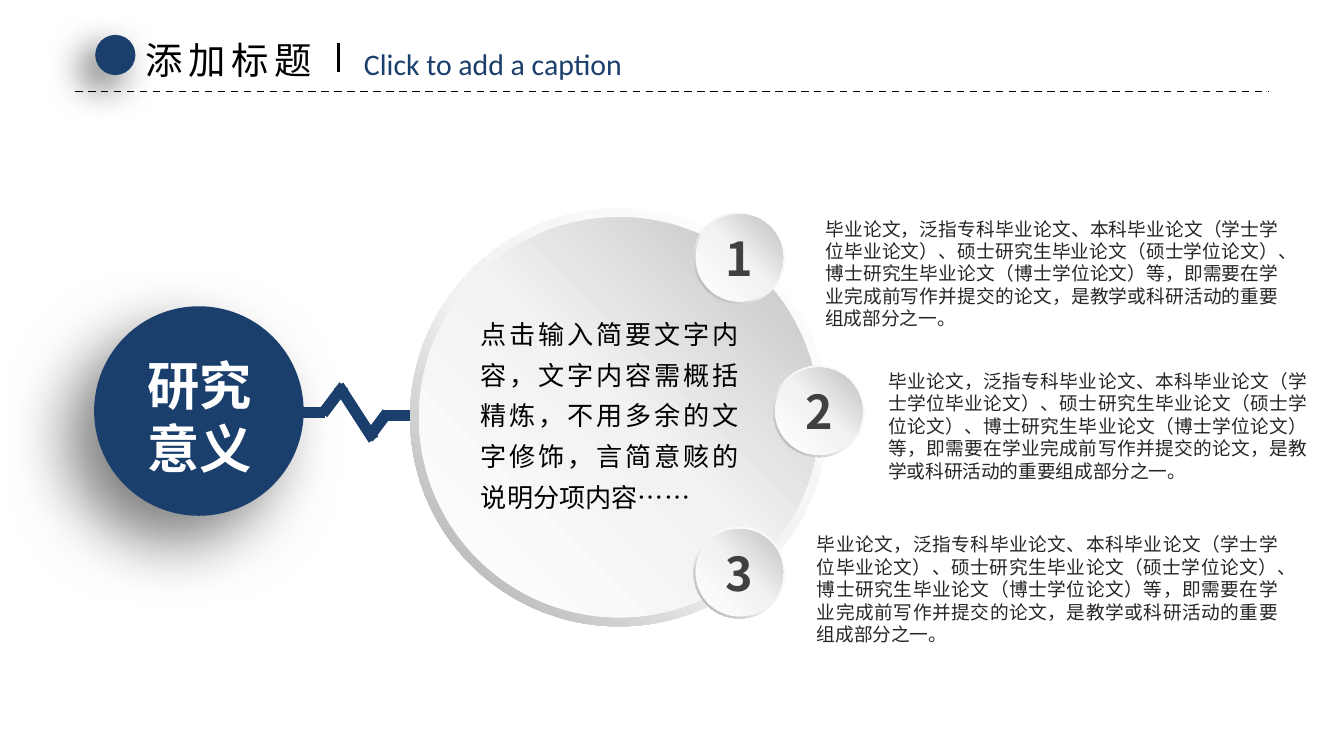
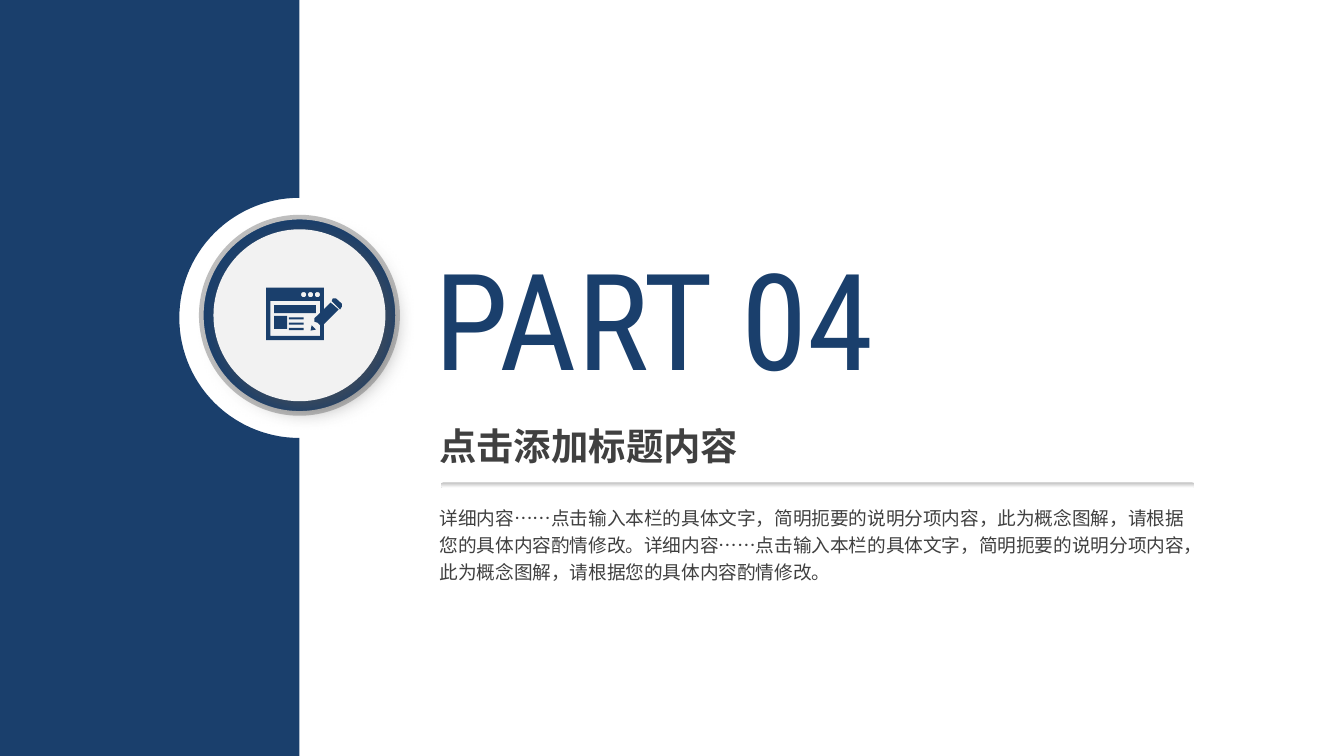
from math import cos, pi, sin

from lxml import etree
from pptx import Presentation
from pptx.dml.color import RGBColor
from pptx.enum.dml import MSO_LINE
from pptx.enum.shapes import MSO_CONNECTOR, MSO_SHAPE
from pptx.enum.text import MSO_ANCHOR, MSO_AUTO_SIZE, PP_ALIGN
from pptx.oxml.ns import qn
from pptx.util import Cm, Pt

OVAL = MSO_SHAPE.OVAL
DONUT = MSO_SHAPE.DONUT
RECT = MSO_SHAPE.RECTANGLE
ROUND_RECT = MSO_SHAPE.ROUNDED_RECTANGLE
STRAIGHT = MSO_CONNECTOR.STRAIGHT
DASH = MSO_LINE.DASH
MIDDLE = MSO_ANCHOR.MIDDLE
GROW = MSO_AUTO_SIZE.SHAPE_TO_FIT_TEXT
CENTER = PP_ALIGN.CENTER
JUSTIFY = PP_ALIGN.JUSTIFY

WIDTH, HEIGHT = 25.4, 14.29
NAVY, BLACK, WHITE = "1A3F6C", "000000", "FFFFFF"
DARK, INK, SILVER, PALE = "404040", "262626", "BFBFBF", "F2F2F2"
CJK, LATIN, HEADING, DISPLAY = (
    "Noto Sans CJK SC", "Calibri", "League Spartan", "Roboto Condensed")
RIM = [(0, WHITE), (55, PALE), (100, "A6A6A6")]
FACE = [(0, WHITE), (51, PALE), (100, SILVER)]

THESIS = ("毕业论文，泛指专科毕业论文、本科毕业论文（学士学位毕业论文）、"
          "硕士研究生毕业论文（硕士学位论文）、博士研究生毕业论文（博士学位论文）等，"
          "即需要在学业完成前写作并提交的论文，是教学或科研活动的重要组成部分之一。")
SUMMARY = ("点击输入简要文字内容，文字内容需概括精炼，不用多余的文字修饰，"
           "言简意赅的说明分项内容……")
DETAIL = ("详细内容……点击输入本栏的具体文字，简明扼要的说明分项内容，"
          "此为概念图解，请根据您的具体内容酌情修改。")


def rgb(value):
    """Turn a hex string into a colour."""
    return RGBColor.from_string(value)


def add_color(parent, value):
    """Append a colour element and return it."""
    return etree.SubElement(parent, qn("a:srgbClr"), val=value)


def paint(sp, fill):
    """Fill a shape with one colour and take off its line and shadow."""
    sp.shadow.inherit = False
    sp.fill.solid()
    sp.fill.fore_color.rgb = rgb(fill)
    sp.line.fill.background()


def shape(s, kind, x, y, w, h, fill=WHITE):
    """Add a plain preset shape."""
    sp = s.shapes.add_shape(kind, Cm(x), Cm(y), Cm(w), Cm(h))
    paint(sp, fill)
    return sp


def gradient(sp, stops, angle):
    """Give a shape a linear gradient at a clockwise angle."""
    sp.fill.gradient()
    sp.fill.gradient_angle = 360 - angle
    stop_list = sp._element.spPr.find(qn("a:gradFill")).find(qn("a:gsLst"))
    for old in list(stop_list):
        stop_list.remove(old)
    for place, value in stops:
        add_color(etree.SubElement(stop_list, qn("a:gs"), pos=str(place * 1000)), value)


def cast_shadow(sp, color, alpha, blur, dist, angle):
    """Give a shape an outer shadow."""
    effects = sp._element.spPr.find(qn("a:effectLst"))
    outer = etree.SubElement(
        effects, qn("a:outerShdw"), blurRad=str(Pt(blur)), dist=str(Pt(dist)),
        dir=str(angle * 60000), algn="ctr", rotWithShape="0")
    etree.SubElement(add_color(outer, color), qn("a:alpha"), val=str(alpha * 1000))


def line(s, x1, y1, x2, y2, color, width, dash=None):
    """Add a straight line without a shadow."""
    c = s.shapes.add_connector(STRAIGHT, Cm(x1), Cm(y1), Cm(x2), Cm(y2))
    c.line.color.rgb = rgb(color)
    c.line.width = Pt(width)
    if dash:
        c.line.dash_style = dash
    etree.SubElement(c._element.spPr, qn("a:effectLst"))


def polygon(s, contours, fill):
    """Add a filled outline; later contours cut holes in the first."""
    first, *holes = [[(Cm(x), Cm(y)) for x, y in c] for c in contours]
    fb = s.shapes.build_freeform(*first[0], scale=1.0)
    fb.add_line_segments(first[1:], close=True)
    for hole in holes:
        fb.move_to(*hole[0])
        fb.add_line_segments(hole[1:], close=True)
    paint(fb.convert_to_shape(), fill)


def arc(cx, cy, r, start, end, steps):
    """Return points along a circle between two angles in radians."""
    angles = [start + (end - start) * i / steps for i in range(steps + 1)]
    return [(cx + r * cos(a), cy + r * sin(a)) for a in angles]


def write(tf, text, size, color, font=CJK, bold=False, align=None,
          spacing=None, tracking=None):
    """Set the text of a frame and format its runs."""
    tf.text = text
    for p in tf.paragraphs:
        p.alignment = align
        p.line_spacing = spacing
        for r in p.runs:
            r.font.name = font
            r.font.size = Pt(size)
            r.font.bold = bold
            r.font.color.rgb = rgb(color)
            rpr = r.font._element
            etree.SubElement(rpr, qn("a:ea"), typeface=CJK)
            if tracking:
                rpr.set("spc", str(tracking * 100))


def textbox(s, x, y, w, h, text, size, color, wrap=True, inset=(0, 0), **style):
    """Add a text box that grows with its text."""
    tf = s.shapes.add_textbox(Cm(x), Cm(y), Cm(w), Cm(h)).text_frame
    tf.word_wrap = wrap
    tf.auto_size = GROW
    tf.margin_left = tf.margin_right = Cm(inset[0])
    tf.margin_top = tf.margin_bottom = Cm(inset[1])
    write(tf, text, size, color, **style)


def header(s, x, y, w):
    """Draw the title row with its dot, caption and dashed rule."""
    line(s, x, y + 1.15, x + w, y + 1.15, BLACK, 1, DASH)
    dot = shape(s, OVAL, x + 0.38, y + 0.08, 0.76, 0.76, NAVY)
    cast_shadow(dot, BLACK, 60, 20, 10, 135)
    textbox(s, x + 1.09, y, 3.78, 1.12, "添加标题", 20, BLACK, wrap=False,
            inset=(0.25, 0.13), tracking=3)
    textbox(s, x + 5.21, y + 0.16, 5.72, 0.94, "Click to add a caption", 16, NAVY,
            wrap=False, inset=(0.25, 0.13), font=LATIN)
    line(s, x + 4.98, y + 0.23, x + 4.98, y + 0.79, BLACK, 1.5)


def topic(s, x, y, d):
    """Draw the navy topic circle and the pulse line on its right."""
    circle = shape(s, OVAL, x, y, d, d, NAVY)
    cast_shadow(circle, BLACK, 50, 35, 20, 135)
    pulse = [(3.12, 2.01, 4.37, 2.01), (5.48, 2.06, 6.53, 2.06),
             (4.32, 2.03, 4.72, 1.5), (5.18, 2.49, 5.54, 2.01),
             (5.28, 2.52, 4.62, 1.5)]
    for x1, y1, x2, y2 in pulse:
        line(s, x + x1, y + y1, x + x2, y + y2, NAVY, 6)
    textbox(s, x + 0.99, y + 0.89, 2, 2.39, "研究\n意义", 28, WHITE,
            wrap=False, bold=True, align=CENTER)


def disc(s, x, y, d, inset):
    """Draw a raised disc with a shaded rim and return its face."""
    rim = shape(s, DONUT, x, y, d, d)
    rim.adjustments[0] = 0.049
    gradient(rim, RIM, 135)
    size = d - 2 * inset
    face = shape(s, OVAL, x + inset, y + inset, size, size)
    gradient(face, FACE, 315)
    return face


def point(s, x, y, number, text_x, text_y, text_w):
    """Draw one numbered disc and the paragraph beside it."""
    tf = disc(s, x, y, 1.73, 0.04).text_frame
    tf.vertical_anchor = MIDDLE
    write(tf, str(number), 25, DARK, bold=True, align=CENTER)
    textbox(s, text_x, text_y, text_w, 2.13, THESIS, 10, INK, align=JUSTIFY)


def summary(s, x, y, d):
    """Draw the large disc with its summary and three numbered points."""
    disc(s, x, y, d, 0.17)
    points = [(5.36, 0.07, 7.85, 0.17, 8.56), (6.86, 2.97, 9.04, 3.05, 7.92),
              (5.36, 6.02, 7.69, 6.14, 8.71)]
    for i, (dx, dy, tx, ty, tw) in enumerate(points, 1):
        point(s, x + dx, y + dy, i, x + tx, y + ty, tw)
    textbox(s, x + 1.34, y + 1.9, 4.88, 3.81, SUMMARY, 14, BLACK,
            align=JUSTIFY, spacing=1.3)


def badge(s, cx, cy):
    """Draw the round badge as concentric circles."""
    circles = []
    for d, fill in ((4.98, WHITE), (3.71, NAVY), (3.25, PALE)):
        circles.append(shape(s, OVAL, cx - d / 2, cy - d / 2, d, d, fill))
    circles[1].line.color.rgb = rgb(SILVER)
    circles[1].line.width = Pt(2.5)
    cast_shadow(circles[2], "525252", 64, 12, 5, 45)


def side_band(s, w, h, cy, r):
    """Draw the left band with a half-round notch in its right side."""
    notch = arc(w, cy, r, -pi / 2, -3 * pi / 2, 60)
    polygon(s, [[(0, 0), (w, 0), *notch, (w, h), (0, h)]], NAVY)


def editor_icon(s, x, y):
    """Draw the page window and pencil icon."""
    window = [(0, 0), (1.09, 0), (1.09, 0.99), (0, 0.99)]
    pane = [(0.08, 0.25), (1.02, 0.25), (1.02, 0.91), (0.08, 0.91)]
    dots = [arc(0.71 + 0.13 * i, 0.13, 0.05, 0, 2 * pi, 16) for i in range(3)]
    tip = [(0.86, 0.71), (0.84, 0.81), (0.94, 0.79)]
    eraser = [(1.4, 0.41), (1.43, 0.36), (1.43, 0.3), (1.32, 0.2),
              (1.26, 0.2), (1.24, 0.25)]
    shaft = [(1.22, 0.28), (0.91, 0.58), (0.91, 0.64), (0.97, 0.66),
             (1.02, 0.71), (1.07, 0.71), (1.37, 0.41)]
    for contours in ([window, pane, *dots], [tip], [eraser], [shaft]):
        polygon(s, [[(x + a, y + b) for a, b in c] for c in contours], NAVY)
    rows = [(0.43, 0.56 + 0.1 * i, 0.28, 0.04) for i in range(3)]
    for a, b, w, h in [(0.15, 0.33, 0.79, 0.15), (0.15, 0.53, 0.25, 0.25), *rows]:
        shape(s, RECT, x + a, y + b, w, h, NAVY)


def part_text(s, x, y, w):
    """Write the part number, its title and its details around a rule."""
    rule = shape(s, ROUND_RECT, x + 0.3, y + 4.75, w - 0.3, 0.1)
    rule.adjustments[0] = 0.5
    gradient(rule, [(0, SILVER), (100, WHITE)], 90)
    textbox(s, x, y, 10, 3.28, "PART 04", 72, NAVY, inset=(0.18, 0.1), font=DISPLAY)
    textbox(s, x + 0.02, y + 3.5, 6.91, 1.12, "点击添加标题内容", 20, DARK,
            inset=(0.25, 0.13), font=HEADING, bold=True)
    textbox(s, x + 0.1, y + 5.03, w - 0.1, 1.73, DETAIL * 2, 10, DARK,
            inset=(0.18, 0.1), spacing=1.2)


def meaning_slide(s):
    """Build the slide on the meaning of the research."""
    header(s, 1.42, 0.58, 22.56)
    topic(s, 1.78, 5.79, 3.96)
    summary(s, 7.75, 3.94, 7.9)


def part_slide(s):
    """Build the slide that opens part four."""
    badge(s, 5.66, 5.96)
    side_band(s, 5.66, HEIGHT, 6.01, 2.27)
    part_text(s, 8.03, 4.37, 14.55)
    editor_icon(s, 5.03, 5.44)


def main():
    """Build and save the deck."""
    prs = Presentation()
    prs.slide_width, prs.slide_height = Cm(WIDTH), Cm(HEIGHT)
    for build in (meaning_slide, part_slide):
        build(prs.slides.add_slide(prs.slide_layouts[6]))
    prs.save("out.pptx")


if __name__ == "__main__":
    main()
